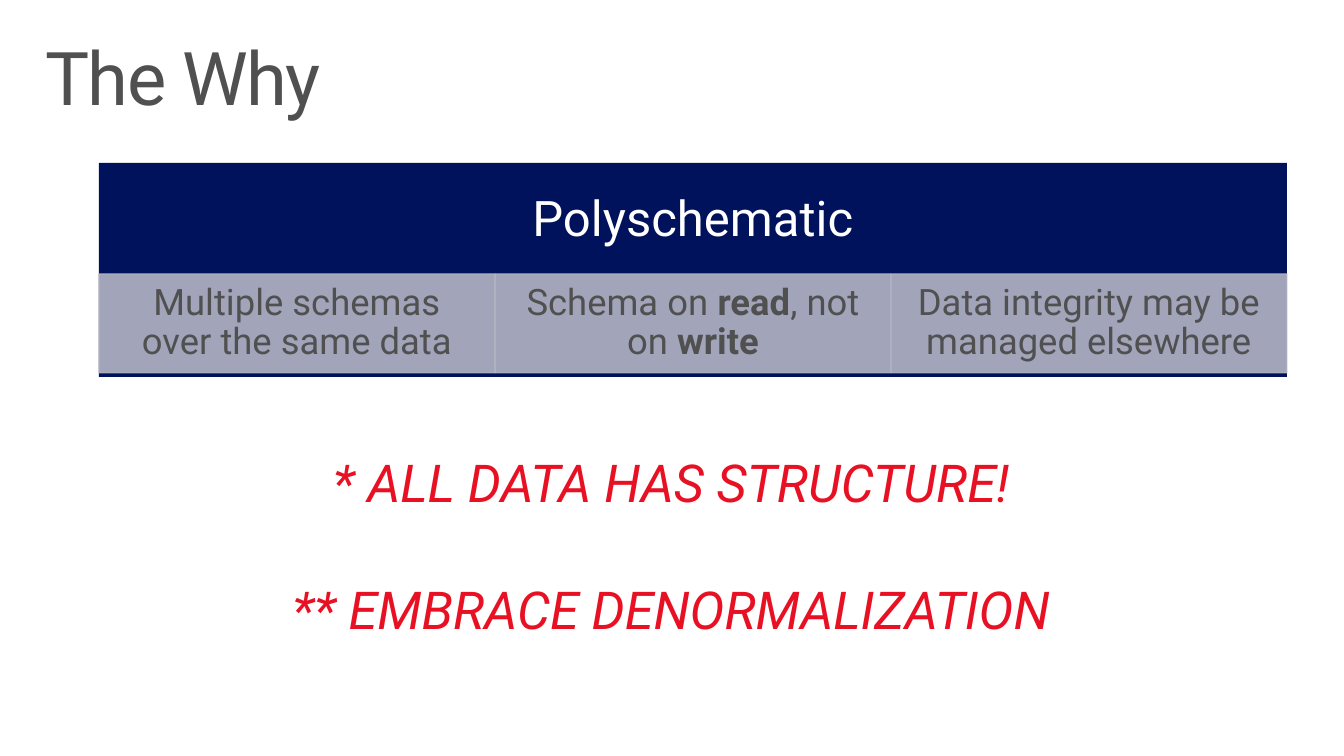
from lxml import etree
from pptx import Presentation
from pptx.dml.color import RGBColor
from pptx.enum.shapes import MSO_SHAPE
from pptx.enum.text import MSO_ANCHOR, MSO_AUTO_SIZE, PP_ALIGN
from pptx.oxml.ns import qn
from pptx.util import Pt

RECTANGLE = MSO_SHAPE.RECTANGLE
TOP, MIDDLE = MSO_ANCHOR.TOP, MSO_ANCHOR.MIDDLE
LEFT, CENTER = PP_ALIGN.LEFT, PP_ALIGN.CENTER
NO_FIT = MSO_AUTO_SIZE.NONE
FIT_SHAPE = MSO_AUTO_SIZE.SHAPE_TO_FIT_TEXT
TITLE_ONLY = 5
NAVY, CARD, GRAY, RED, WHITE = "00125B", "B4B5C5", "505050", "E81123", "FFFFFF"


def px(*lengths):
    """Turn pixels (100.8 to the inch) into EMU."""
    return [round(length * 914400 / 100.8) for length in lengths]


def write(shape, spans, size, color, align=CENTER, anchor=MIDDLE,
          insets=(10, 5, 10, 5), spacing=0.9, fit=NO_FIT, italic=None):
    """Fill a shape with one paragraph of (words, bold) spans."""
    frame = shape.text_frame
    frame.word_wrap = True
    frame.auto_size = fit
    frame.vertical_anchor = anchor
    (frame.margin_left, frame.margin_top,
     frame.margin_right, frame.margin_bottom) = px(*insets)
    para = frame.paragraphs[0]
    para.alignment = align
    para.line_spacing = spacing
    for words, bold in spans:
        span = para.add_run()
        span.text = words
        span.font.name = "Roboto"
        span.font.size = Pt(size)
        span.font.bold = bold
        span.font.italic = italic
        span.font.color.rgb = RGBColor.from_string(color)


deck = Presentation()
deck.slide_width, deck.slide_height = px(1344, 756)
page = deck.slides.add_slide(deck.slide_layouts[TITLE_ONLY])

# Title
title = page.shapes.title
title.left, title.top, title.width, title.height = px(29, 32, 1285, 99)
write(title, [("The Why", False)], 52.9, GRAY, LEFT, TOP, (16, 10, 16, 10))
title.text_frame.paragraphs[0].runs[0].font._element.set("spc", "-100")

# Navy panel: the heading sits above the cards, a thin edge shows below them
panel = page.shapes.add_group_shape()
band = panel.shapes.add_shape(RECTANGLE, *px(99, 163, 1188, 214))
band.shadow.inherit = False
band.fill.solid()
band.fill.fore_color.rgb = RGBColor.from_string(NAVY)
band.line.fill.background()
write(band, [("Polyschematic", False)], 35, WHITE, insets=(27, 27, 27, 125))

# Cards
reasons = [
    [("Multiple schemas over the same data", False)],
    [("Schema on ", False), ("read", True), (", not on ", False), ("write", True)],
    [("Data integrity may be managed elsewhere", False)],
]
for column, spans in enumerate(reasons):
    card = panel.shapes.add_shape(RECTANGLE, *px(99 + 396 * column, 274, 396, 99))
    card.shadow.inherit = False
    card.line.width = Pt(0.75)
    card.fill.solid()
    card.line.fill.solid()
    for paint in (card.fill, card.line.fill):
        paint.fore_color.rgb = RGBColor.from_string(CARD)
    for tint in card._element.spPr.iter(qn("a:srgbClr")):
        etree.SubElement(tint, qn("a:alpha"), val="90000")
    write(card, spans, 26, GRAY, insets=(20, 4, 20, 4))

# Slogans
slogans = ["* ALL DATA HAS STRUCTURE!", "** EMBRACE DENORMALIZATION"]
for row, slogan in enumerate(slogans):
    box = page.shapes.add_textbox(*px(143, 445 + 127 * row, 1057, 74))
    write(box, [(slogan, False)], 37.3, RED, anchor=TOP, spacing=1.0,
          fit=FIT_SHAPE, italic=True)

deck.save("out.pptx")
